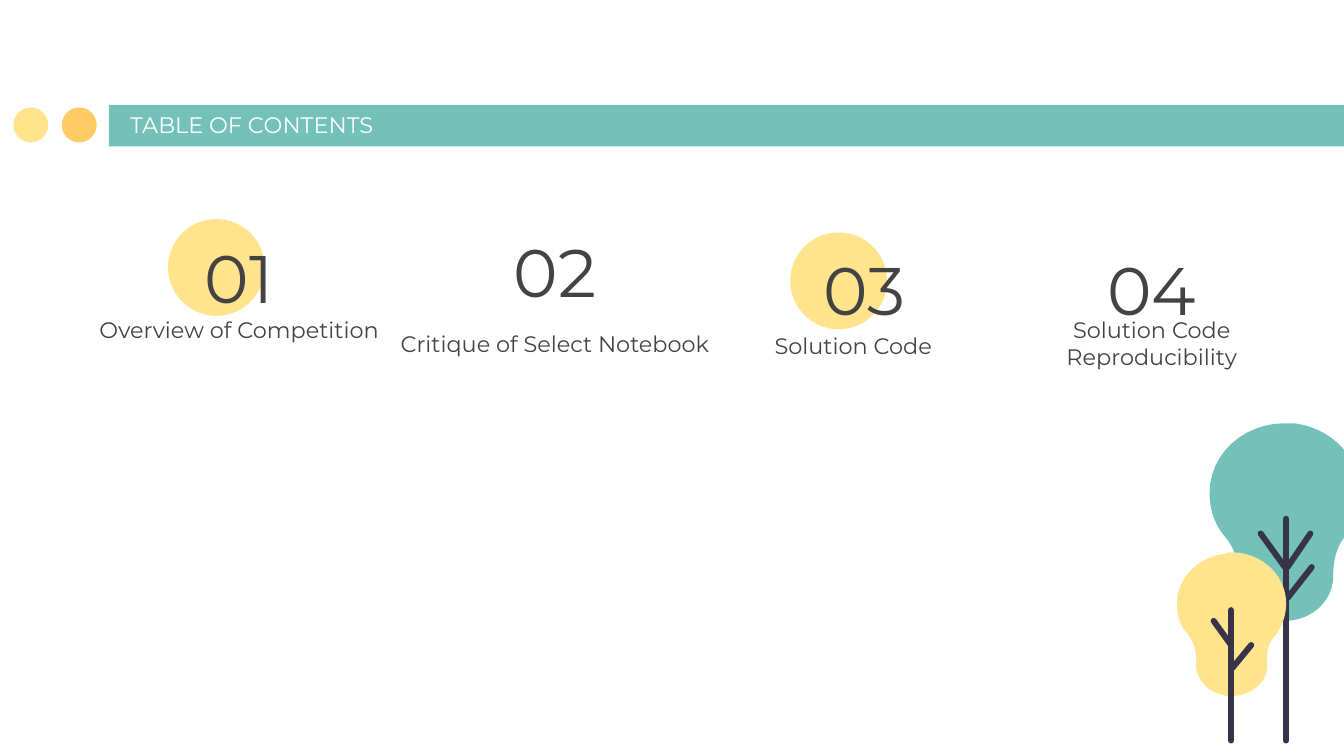
from dataclasses import dataclass

from pptx import Presentation
from pptx.dml.color import RGBColor
from pptx.enum.shapes import MSO_SHAPE
from pptx.enum.text import MSO_ANCHOR, PP_ALIGN
from pptx.util import Inches, Pt

PX = Inches(1) // 100  # 100 px to the inch
SLIDE_WIDTH = 1000
CURVE_STEPS = 12


@dataclass(frozen=True)
class Theme:
    font: str = "Montserrat"
    teal: str = "74C1B9"
    yellow: str = "FFE48D"
    orange: str = "FFCB64"
    bark: str = "373449"
    ink: str = "434343"
    white: str = "FFFFFF"
    body_size: int = 12
    number_size: int = 36
    trunk_width: float = 3.2


@dataclass(frozen=True)
class Entry:
    number: str
    caption: str
    box: tuple  # left, top, width, height of the number
    caption_drop: int
    caption_width: int = 254
    caption_shift: int = 0
    disc_offset: tuple = ()


THEME = Theme()

ENTRIES = [
    Entry("01", "Overview of Competition", (82, 174, 192, 63), 28,
          caption_width=262, disc_offset=(43, -11)),
    Entry("02", "Critique of Select Notebook", (317, 170, 192, 63), 43),
    Entry("03", "Solution Code", (547, 183, 192, 63), 31,
          caption_shift=-8, disc_offset=(41, -10)),
    Entry("04", "Solution Code Reproducibility", (761, 192, 192, 46), 30),
]

# Crowns: a start point, then curves as two control points and an end point.
TALL_CROWN = [
    (56, 0), (25, 0, 0, 23, 0, 52), (0, 64, 4, 76, 12, 85),
    (18, 92, 21, 101, 20, 110), (20, 111, 20, 113, 20, 115),
    (20, 133, 37, 147, 56, 147), (76, 147, 92, 132, 92, 114),
    (92, 101, 95, 91, 101, 84), (110, 73, 114, 59, 112, 46),
    (109, 22, 88, 3, 63, 0), (60, 0, 58, 0, 56, 0),
]
SHORT_CROWN = [
    (41, 0), (40, 0, 38, 0, 37, 1), (18, 3, 3, 17, 1, 34),
    (0, 44, 2, 54, 9, 61), (13, 67, 16, 74, 15, 82),
    (14, 96, 27, 107, 41, 107), (56, 107, 68, 97, 68, 84),
    (67, 73, 69, 67, 74, 62), (79, 55, 82, 47, 82, 38),
    (82, 17, 64, 0, 41, 0),
]
# Trunks: straight strokes, the stem first and then its branches.
TALL_TRUNK = [
    ((57, 71), (57, 236)), ((38, 82), (56, 107)), ((75, 82), (58, 107)),
    ((37, 107), (56, 130)), ((76, 107), (58, 130)),
]
SHORT_TRUNK = [
    ((41, 43), (41, 140)), ((28, 51), (41, 69)), ((56, 69), (42, 86)),
]


def px(*lengths):
    return [round(length * PX) for length in lengths]


def paint(shape, color):
    shape.shadow.inherit = False
    shape.fill.solid()
    shape.fill.fore_color.rgb = RGBColor.from_string(color)
    shape.line.fill.background()


def add_filled(slide, preset, box, color):
    paint(slide.shapes.add_shape(preset, *px(*box)), color)


def add_label(slide, box, text, size, color, anchor, align=PP_ALIGN.LEFT):
    frame = slide.shapes.add_textbox(*px(*box)).text_frame
    frame.word_wrap = True
    frame.vertical_anchor = anchor
    frame.margin_left = frame.margin_right = 10 * PX
    frame.margin_top = frame.margin_bottom = 10 * PX
    paragraph = frame.paragraphs[0]
    paragraph.text = text
    paragraph.alignment = align
    paragraph.font.name = THEME.font
    paragraph.font.size = Pt(size)
    paragraph.font.color.rgb = RGBColor.from_string(color)


def flatten(outline):
    """Turn a start point and its cubic curves into a list of points."""
    points = [outline[0]]
    for x1, y1, x2, y2, x3, y3 in outline[1:]:
        x0, y0 = points[-1]
        for step in range(1, CURVE_STEPS + 1):
            t = step / CURVE_STEPS
            u = 1 - t
            a, b, c, d = u**3, 3 * u * u * t, 3 * u * t * t, t**3
            points.append((a * x0 + b * x1 + c * x2 + d * x3,
                           a * y0 + b * y1 + c * y2 + d * y3))
    return points


def add_header(slide, box, title):
    left, top, width, height = box
    dot = 26
    for dot_left, color in ((46, THEME.orange), (10, THEME.yellow)):
        add_filled(slide, MSO_SHAPE.OVAL,
                   (left + dot_left, top + 2, dot, dot), color)
    add_filled(slide, MSO_SHAPE.RECTANGLE,
               (left + 81, top, width - 81, height), THEME.teal)
    add_label(slide, (left + 87, top + 1, 548, 34), title,
              THEME.body_size, THEME.white, MSO_ANCHOR.BOTTOM)


def add_entry(slide, entry):
    left, top, width, _ = entry.box
    if entry.disc_offset:
        dx, dy = entry.disc_offset
        add_filled(slide, MSO_SHAPE.OVAL,
                   (left + dx, top + dy, 72, 72), THEME.yellow)
    add_label(slide, entry.box, entry.number, THEME.number_size,
              THEME.ink, MSO_ANCHOR.MIDDLE, PP_ALIGN.CENTER)
    caption_left = left + (width - entry.caption_width) // 2 + entry.caption_shift
    caption_box = (caption_left, top + entry.caption_drop, entry.caption_width, 63)
    add_label(slide, caption_box, entry.caption, THEME.body_size,
              THEME.ink, MSO_ANCHOR.BOTTOM, PP_ALIGN.CENTER)


def add_tree(slide, left, top, crown, color, trunk):
    start, *rest = [px(left + x, top + y) for x, y in flatten(crown)]
    builder = slide.shapes.build_freeform(*start, scale=1.0)
    builder.add_line_segments(rest, close=True)
    paint(builder.convert_to_shape(), color)

    strokes = [[px(left + x, top + y) for x, y in stroke] for stroke in trunk]
    builder = slide.shapes.build_freeform(*strokes[0][0], scale=1.0)
    builder.add_line_segments(strokes[0][1:], close=False)
    for base, tip in strokes[1:]:
        builder.move_to(*base)
        builder.add_line_segments([tip], close=False)
    wood = builder.convert_to_shape()
    wood.shadow.inherit = False
    wood.fill.background()
    wood.line.color.rgb = RGBColor.from_string(THEME.bark)
    wood.line.width = Pt(THEME.trunk_width)
    wood.element.spPr.get_or_add_ln().set("cap", "rnd")


def main():
    presentation = Presentation()
    presentation.slide_width = SLIDE_WIDTH * PX
    presentation.slide_height = presentation.slide_width * 9 // 16
    slide = presentation.slides.add_slide(presentation.slide_layouts[6])
    add_header(slide, (0, 78, SLIDE_WIDTH, 31), "TABLE OF CONTENTS")
    for entry in ENTRIES:
        add_entry(slide, entry)
    add_tree(slide, 900, 315, TALL_CROWN, THEME.teal, TALL_TRUNK)
    add_tree(slide, 875, 411, SHORT_CROWN, THEME.yellow, SHORT_TRUNK)
    presentation.save("out.pptx")


if __name__ == "__main__":
    main()
